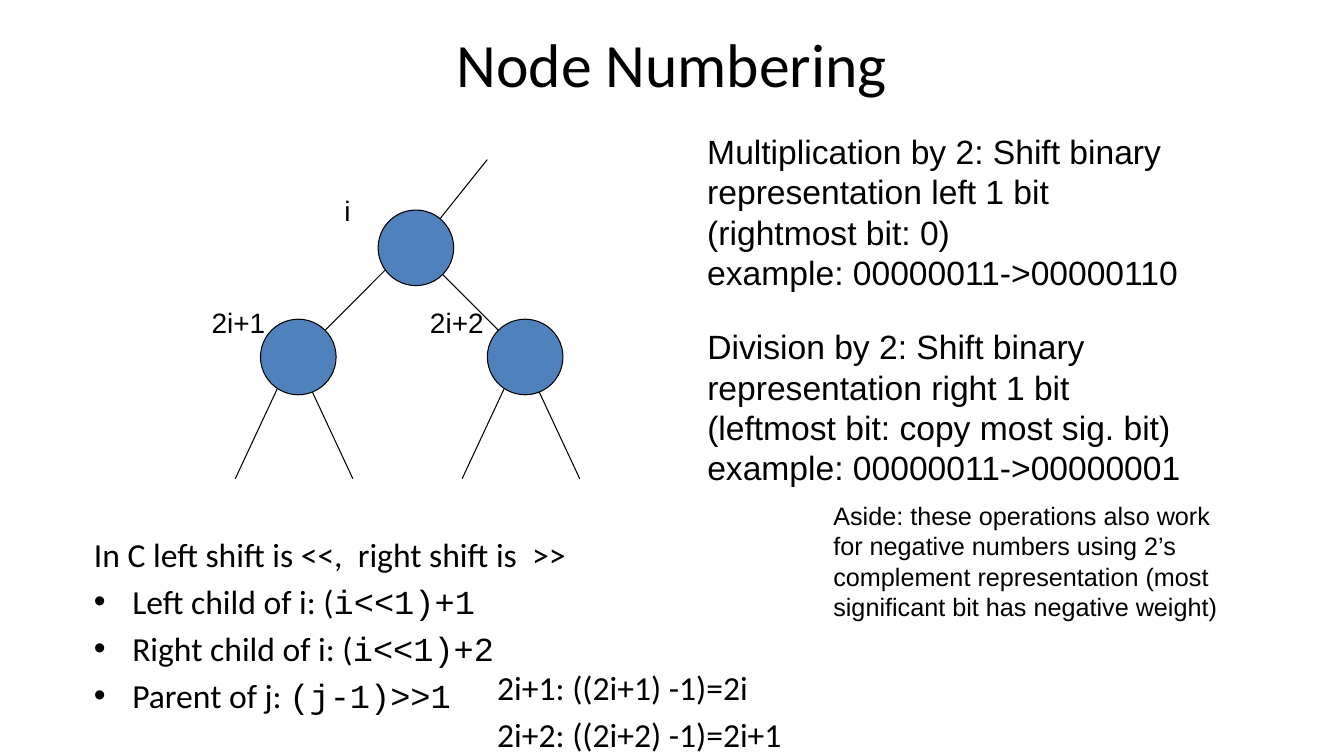
from lxml import etree
from pptx import Presentation, util as u
from pptx.dml.color import RGBColor
from pptx.enum import shapes, text
from pptx.oxml import ns

BLACK, BLUE = "000000", "4F81BD"
NODE_SIZE = 9  # grid units

# Tree on the grid: node centres, and line ends
ROOT, LEFT, RIGHT = (49.5, 29.5), (35.5, 42.5), (62.5, 42.5)
BRANCHES = [
    ((58, 19), (50, 29)),
    ((49, 29), (36, 42)),
    ((49, 29), (62, 42)),
    ((35, 42), (28, 57)),
    ((35, 42), (42, 57)),
    ((62, 42), (55, 57)),
    ((62, 42), (69, 57)),
]
LABELS = [("i", 39.8, 22.5, 3.2), ("2i+1", 24, 35.75, 8.9), ("2i+2", 50, 35.75, 8.9)]


def grid(count):
    """The slide is laid out on a grid of twelfths of an inch."""
    return u.Inches(count / 12)


def colour(value):
    return RGBColor.from_string(value)


def format_font(para, name, size):
    para.font.size = u.Pt(size)
    para.font.color.rgb = colour(BLACK)
    if name:
        para.font.name = name


def add_bullet(para):
    properties = para._p.get_or_add_pPr()
    properties.set("marL", str(u.Inches(0.38)))
    properties.set("indent", str(-u.Inches(0.38)))
    etree.SubElement(properties, ns.qn("a:buFont")).set("typeface", "Arial")
    etree.SubElement(properties, ns.qn("a:buChar")).set("char", "•")


def add_text(page, place, lines, name, size, gap=0, wrap=True):
    """Each line is a string, or a (plain, code) pair for a bulleted line."""
    box = page.shapes.add_textbox(*map(grid, place))
    frame = box.text_frame
    frame.word_wrap = wrap
    for index, line in enumerate(lines):
        para = frame.paragraphs[0] if index == 0 else frame.add_paragraph()
        if index and gap:
            para.space_before = u.Pt(gap)
        if isinstance(line, str):
            para.add_run().text = line
            format_font(para, name, size)
            continue
        add_bullet(para)
        format_font(para, None, size)
        for words, typeface in zip(line, (name, "Courier New")):
            span = para.add_run()
            span.text = words
            span.font.name = typeface


def add_branch(page, start, end):
    branch = page.shapes.add_connector(
        shapes.MSO_CONNECTOR.STRAIGHT, *map(grid, start + end))
    branch.line.color.rgb = colour(BLACK)
    branch.line.width = u.Pt(0.75)
    etree.SubElement(branch._element.spPr, ns.qn("a:effectLst"))


def add_node(page, centre):
    left, top = (grid(value - NODE_SIZE / 2) for value in centre)
    node = page.shapes.add_shape(
        shapes.MSO_SHAPE.OVAL, left, top, grid(NODE_SIZE), grid(NODE_SIZE))
    node.shadow.inherit = False
    node.fill.solid()
    node.fill.fore_color.rgb = colour(BLUE)
    node.line.color.rgb = colour(BLACK)
    node.line.width = u.Pt(0.75)


def add_title(page, words):
    title = page.shapes.title
    title.left, title.top, title.width, title.height = map(grid, (26, 0, 108, 15))
    frame = title.text_frame
    frame.text = words
    frame.vertical_anchor = text.MSO_ANCHOR.MIDDLE
    frame.paragraphs[0].alignment = text.PP_ALIGN.CENTER
    format_font(frame.paragraphs[0], "Calibri", 44)


def main():
    deck = Presentation()
    deck.slide_width, deck.slide_height = u.Inches(13.33), u.Inches(7.5)
    page = deck.slides.add_slide(deck.slide_layouts[5])
    add_title(page, "Node Numbering")

    # Shift operators in C
    add_text(page, (10, 63, 68, 27), [
        "In C left shift is <<,  right shift is  >>",
        ("Left child of i: (", "i<<1)+1"),
        ("Right child of i: (", "i<<1)+2"),
        ("Parent of j: ", "(j-1)>>1"),
    ], "Calibri", 24, gap=4.8)

    # Tree
    for start, end in BRANCHES:
        add_branch(page, start, end)
    for centre in (ROOT, LEFT, RIGHT):
        add_node(page, centre)
    for label, left, top, width in LABELS:
        add_text(page, (left, top, width, 5.25), [label], "Arial", 20, wrap=False)

    # Explanations on the right
    add_text(page, (83, 15, 66, 20.6), [
        "Multiplication by 2: Shift binary representation left 1 bit",
        "(rightmost bit: 0)",
        "example: 00000011->00000110",
    ], "Arial", 24)
    add_text(page, (83, 38.25, 63, 20.6), [
        "Division by 2: Shift binary representation right 1 bit",
        "(leftmost bit: copy most sig. bit)",
        "example: 00000011->00000001",
    ], "Arial", 24)
    add_text(page, (98, 59, 50, 15.75), [
        "Aside: these operations also work for negative numbers using 2’s "
        "complement representation (most significant bit has negative weight)",
    ], "Arial", 18)

    # Check of the parent rule
    add_text(page, (58, 78.75, 37.5, 10.7), [
        "2i+1: ((2i+1) -1)=2i",
        "2i+2: ((2i+2) -1)=2i+1",
    ], "Calibri", 24, gap=4.8)

    deck.save("out.pptx")


if __name__ == "__main__":
    main()
